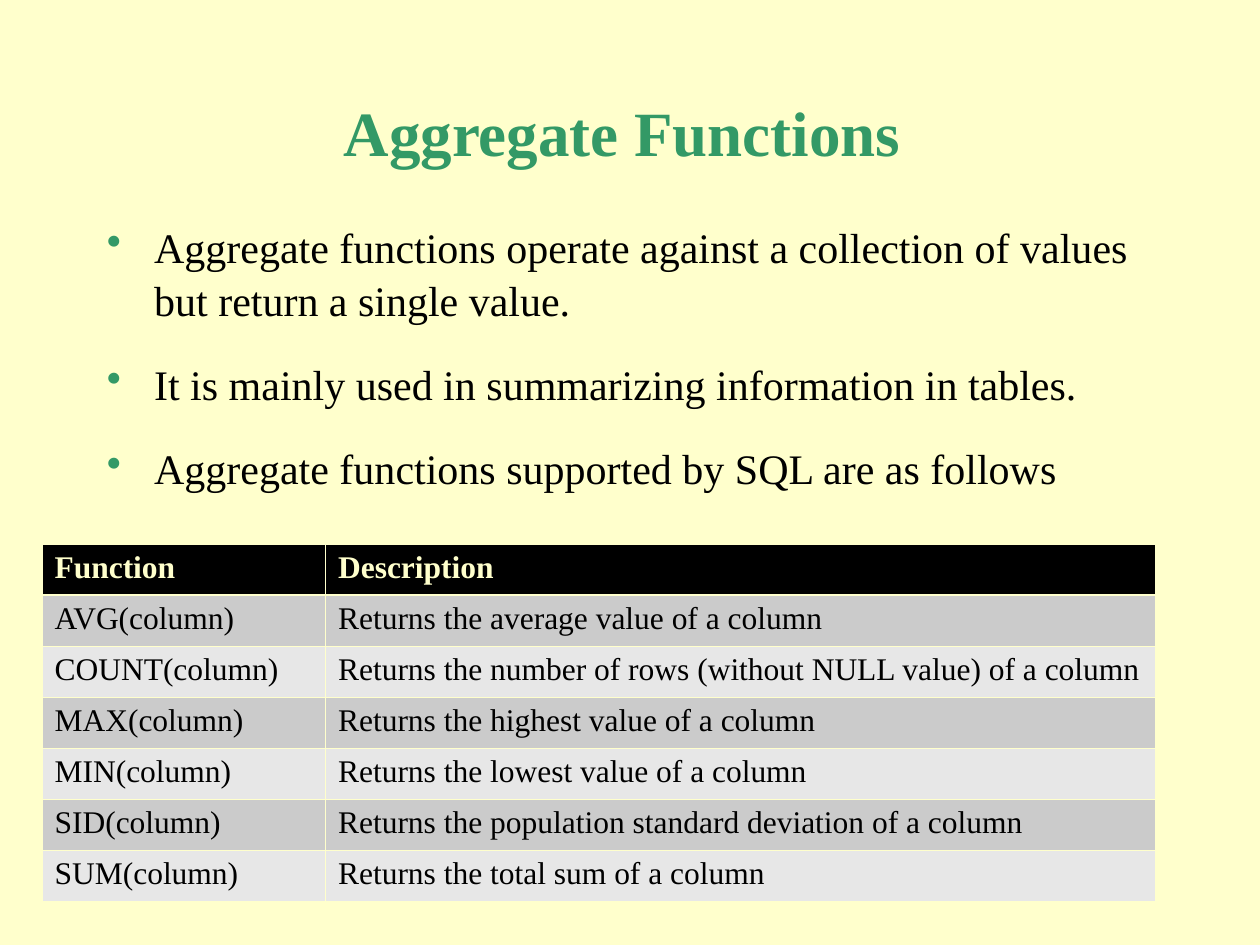
from lxml.etree import SubElement
from pptx import Presentation
from pptx.dml.color import RGBColor
from pptx.enum.text import MSO_ANCHOR, PP_ALIGN
from pptx.oxml.ns import qn
from pptx.util import Pt

# Content
TITLE = "Aggregate Functions "
POINTS = [
    "Aggregate functions operate against a collection of values but return a single value.",
    "It is mainly used in summarizing information in tables.",
    "Aggregate functions supported by SQL are as follows",
]
FUNCTIONS = [
    ("Function", "Description"),
    ("AVG(column)", "Returns the average value of a column"),
    ("COUNT(column)", "Returns the number of rows (without NULL value) of a column"),
    ("MAX(column)", "Returns the highest value of a column"),
    ("MIN(column)", "Returns the lowest value of a column"),
    ("SID(column)", "Returns the population standard deviation of a column"),
    ("SUM(column)", "Returns the total sum of a column"),
]


class Theme:
    font = "Times New Roman"
    paper, ink, accent = "FFFFCC", "000000", "339966"
    bands = ("E7E7E7", "CBCBCB")
    title_size, point_size, cell_size = 36, 24, 18
    thin, thick = 0.45, 1.47


# Layout, in points
TITLE_BOX = (54, 48, 612, 54)
POINTS_BOX = (54, 121.5, 612, 360)
TABLE_LEFT, TABLE_TOP = 24, 310.8
COLUMN_WIDTHS = (162, 474)
ROW_HEIGHT = 29.15
INDENT = 27


def style(paragraph, size, color, bold=False):
    font = paragraph.font
    font.name, font.size, font.bold = Theme.font, Pt(size), bold
    font.color.rgb = RGBColor.from_string(color)


def add_box(slide, box):
    frame = slide.shapes.add_textbox(*map(Pt, box)).text_frame
    frame.word_wrap = True
    return frame


def add_bullet(paragraph):
    props = paragraph._p.get_or_add_pPr()
    props.set("marL", str(Pt(INDENT)))
    props.set("indent", str(-Pt(INDENT)))
    color = SubElement(props, qn("a:buClr"))
    SubElement(color, qn("a:srgbClr"), val=Theme.accent)
    SubElement(props, qn("a:buChar"), char="•")


def add_border(cell, side, width):
    line = SubElement(cell._tc.get_or_add_tcPr(), qn(f"a:ln{side}"), w=str(Pt(width)))
    fill = SubElement(line, qn("a:solidFill"))
    SubElement(fill, qn("a:srgbClr"), val=Theme.paper)


def add_title(slide):
    frame = add_box(slide, TITLE_BOX)
    frame.vertical_anchor = MSO_ANCHOR.MIDDLE
    heading = frame.paragraphs[0]
    heading.text = TITLE
    heading.alignment = PP_ALIGN.CENTER
    style(heading, Theme.title_size, Theme.accent, bold=True)


def add_points(slide):
    frame = add_box(slide, POINTS_BOX)
    for i, text in enumerate(POINTS):
        point = frame.add_paragraph() if i else frame.paragraphs[0]
        point.text = text
        point.line_spacing = 1.05
        if i:
            point.space_before = Pt(18)
        add_bullet(point)
        style(point, Theme.point_size, Theme.ink)


def add_functions(slide):
    count = len(FUNCTIONS)
    table = slide.shapes.add_table(
        count, len(COLUMN_WIDTHS), Pt(TABLE_LEFT), Pt(TABLE_TOP),
        Pt(sum(COLUMN_WIDTHS)), Pt(ROW_HEIGHT * count)).table
    for column, width in zip(table.columns, COLUMN_WIDTHS):
        column.width = Pt(width)
    for r, texts in enumerate(FUNCTIONS):
        table.rows[r].height = Pt(ROW_HEIGHT)
        header = r == 0
        for c, text in enumerate(texts):
            cell = table.cell(r, c)
            cell.text = text
            style(cell.text_frame.paragraphs[0], Theme.cell_size,
                  Theme.paper if header else Theme.ink, bold=header)
            # Borders come before the fill; the rule under the header is thick
            for side in "LRTB":
                under_header = (r, side) in ((0, "B"), (1, "T"))
                add_border(cell, side, Theme.thick if under_header else Theme.thin)
            cell.fill.solid()
            cell.fill.fore_color.rgb = RGBColor.from_string(
                Theme.ink if header else Theme.bands[r % 2])


def main():
    deck = Presentation()
    deck.slide_width, deck.slide_height = Pt(720), Pt(540)
    slide = deck.slides.add_slide(deck.slide_layouts[6])
    slide.background.fill.solid()
    slide.background.fill.fore_color.rgb = RGBColor.from_string(Theme.paper)
    add_title(slide)
    add_points(slide)
    add_functions(slide)
    deck.save("out.pptx")


if __name__ == "__main__":
    main()
